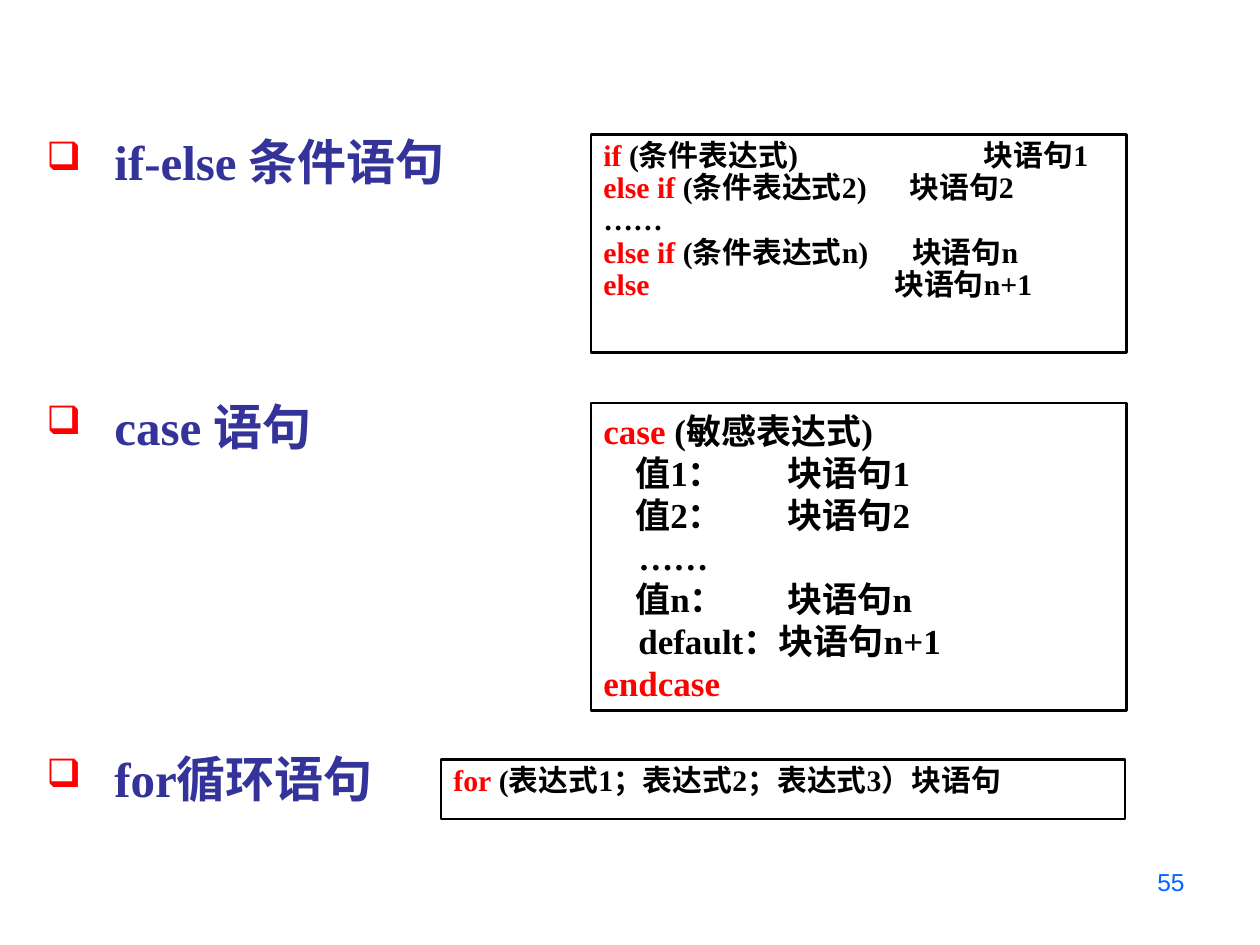
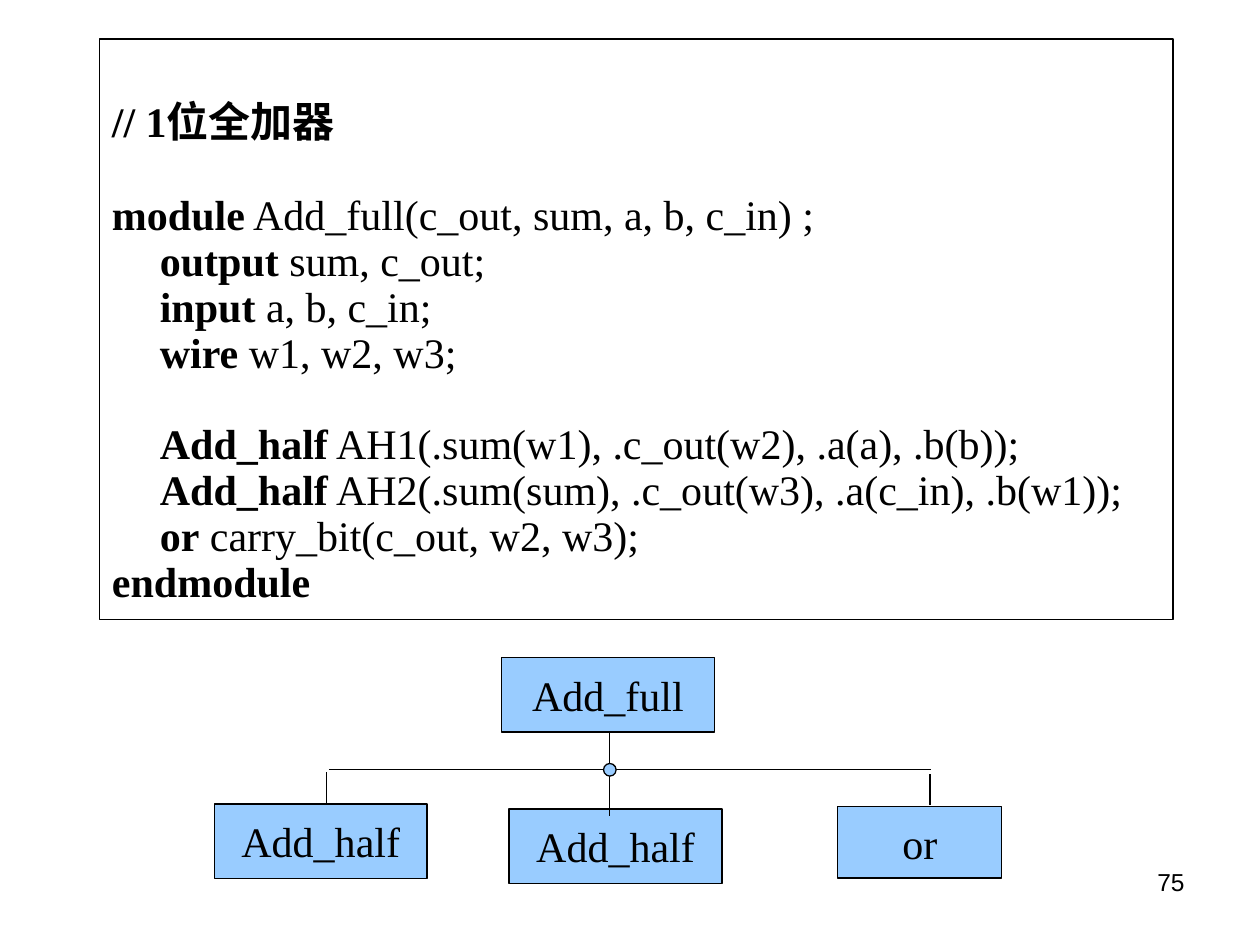
from lxml.etree import SubElement
from pptx import Presentation
from pptx.dml.color import RGBColor
from pptx.enum.shapes import MSO_CONNECTOR, MSO_SHAPE
from pptx.enum.text import MSO_ANCHOR, PP_ALIGN
from pptx.oxml.ns import qn
from pptx.util import Inches, Pt

COLUMNS, ROWS = 100, 75
SERIF, SANS = "Times New Roman", "Arial"
BLACK, RED, NAVY, BLUE, SKY = "000000", "FF0000", "333399", "0066FF", "99CCFF"
TOPIC_PITCH = 50.4  # points per topic line
CODE_GAP = 6
CODE_BLANK = 26.2


def color(value):
    return RGBColor.from_string(value)


class SlideBuilder:
    def __init__(self, deck):
        self.deck = deck
        self.page = None

    def new_page(self, number, number_color):
        self.page = self.deck.slides.add_slide(self.deck.slide_layouts[6])
        box = self.text_box(71.7, 68.3, 23.3, 5.2)
        self.fill_para(box.text_frame.paragraphs[0], [(number, number_color, False)],
                       14, SANS, PP_ALIGN.RIGHT)

    def x(self, columns):
        return round(self.deck.slide_width * columns / COLUMNS)

    def y(self, rows):
        return round(self.deck.slide_height * rows / ROWS)

    def place(self, left, top, width, height):
        return self.x(left), self.y(top), self.x(width), self.y(height)

    def text_box(self, *area):
        box = self.page.shapes.add_textbox(*self.place(*area))
        box.text_frame.word_wrap = True
        return box

    def shape(self, area, line_width, fill=None, kind=MSO_SHAPE.RECTANGLE):
        shape = self.page.shapes.add_shape(kind, *self.place(*area))
        shape.shadow.inherit = False
        if fill:
            shape.fill.solid()
            shape.fill.fore_color.rgb = color(fill)
        else:
            shape.fill.background()
        shape.line.color.rgb = color(BLACK)
        shape.line.width = Pt(line_width)
        shape.text_frame.word_wrap = True
        shape.text_frame.vertical_anchor = MSO_ANCHOR.TOP
        return shape

    def fill_para(self, para, spans, size, font=SERIF, align=PP_ALIGN.LEFT, tab=None):
        """Fill a paragraph with (text, colour, bold) spans."""
        para.alignment = align
        if tab:
            tabs = SubElement(para._p.get_or_add_pPr(), qn("a:tabLst"))
            SubElement(tabs, qn("a:tab"), pos=str(Inches(tab)), algn="l")
        para.font.size = Pt(size)
        para.font.name = font
        for text, ink, bold in spans:
            span = para.add_run()
            span.text = text
            span.font.bold = bold
            span.font.color.rgb = color(ink)

    def paragraphs(self, box, count):
        frame = box.text_frame
        return [frame.paragraphs[0]] + [frame.add_paragraph() for _ in range(count - 1)]

    def topics(self, area, items):
        """Set bulleted (text, blank lines above) items."""
        box = self.text_box(*area)
        for para, (text, blanks) in zip(self.paragraphs(box, len(items)), items):
            para.line_spacing = 1.5
            if blanks:
                para.space_before = Pt(blanks * TOPIC_PITCH)
            layout = para._p.get_or_add_pPr()
            layout.set("marL", str(Inches(0.54)))
            layout.set("indent", str(-Inches(0.54)))
            ink = SubElement(layout, qn("a:buClr"))
            SubElement(ink, qn("a:srgbClr"), val=RED)
            SubElement(layout, qn("a:buSzPct"), val="80000")
            SubElement(layout, qn("a:buChar"), char="❑")
            self.fill_para(para, [(text, NAVY, True)], 28, align=PP_ALIGN.JUSTIFY)

    def syntax(self, area, size, spacing, lines):
        """Frame (keyword, rest, tab stop) lines with red keywords."""
        box = self.shape(area, 1.5)
        for para, (keyword, rest, tab) in zip(self.paragraphs(box, len(lines)), lines):
            para.line_spacing = spacing
            spans = [(keyword, RED, True), (rest, BLACK, True)]
            self.fill_para(para, [span for span in spans if span[0]], size, tab=tab)

    def listing(self, area, lines):
        """Frame (keyword, rest, blank lines above) lines with bold keywords."""
        box = self.shape(area, 0.75)
        box.text_frame.margin_top = Inches(0.45)
        paras = self.paragraphs(box, len(lines))
        for para, (keyword, rest, blanks) in zip(paras, lines):
            if para is not paras[0]:
                para.line_spacing = 0.7
                para.space_before = Pt(CODE_GAP + blanks * CODE_BLANK)
            spans = [(keyword, BLACK, True), (rest, BLACK, False)]
            self.fill_para(para, [span for span in spans if span[0]], 24, tab=0.38)

    def node(self, label, *area):
        box = self.shape(area, 0.75, SKY)
        box.text_frame.vertical_anchor = MSO_ANCHOR.MIDDLE
        self.fill_para(box.text_frame.paragraphs[0], [(label, BLACK, False)], 24,
                       align=PP_ALIGN.CENTER)

    def line(self, left, top, right, bottom):
        line = self.page.shapes.add_connector(
            MSO_CONNECTOR.STRAIGHT, self.x(left), self.y(top), self.x(right), self.y(bottom))
        line.line.color.rgb = color(BLACK)
        line.line.width = Pt(0.75)
        SubElement(line._element.spPr, qn("a:effectLst"))


def statements_page(builder):
    builder.new_page("55", BLUE)
    builder.topics((2.7, 7.6, 95.3, 59.1),
                   [("if-else 条件语句", 0), ("case 语句", 2), ("for循环语句", 3)])
    builder.syntax((46.9, 10.7, 42.5, 17.3), 17, 0.9, [
        ("if ", "(条件表达式)\t块语句1", 3.02),
        ("else if", " (条件表达式2)\t块语句2", 2.43),
        ("", "……", None),
        ("else if", " (条件表达式n)\t块语句n", 2.45),
        ("else", "\t块语句n+1", 2.31),
    ])
    cases = [("", f"    值{n}：\t块语句{n}", 1.46) for n in "12n"]
    builder.syntax((46.9, 32, 42.5, 24.4), 20, 1.0, [
        ("case", " (敏感表达式)", None),
        *cases[:2],
        ("", "    ……", None),
        cases[2],
        ("", "    default：块语句n+1", None),
        ("endcase", "", None),
    ])
    builder.syntax((35, 60.3, 54.3, 4.7), 17, 0.9,
                   [("for", " (表达式1；表达式2；表达式3）块语句", None)])


def full_adder_page(builder):
    builder.new_page("75", BLACK)
    builder.node("Add_full", 39.8, 52.2, 16.9, 5.9)
    builder.node("Add_half", 40.4, 64.2, 16.9, 5.9)
    builder.node("or", 66.5, 64, 13, 5.7)
    builder.node("Add_half", 17, 63.8, 16.9, 5.9)
    trunk, rail = 48.4, 61.1
    builder.line(trunk, 58.1, trunk, 64.8)
    builder.line(25.9, 63.8, 25.9, 61.3)
    builder.line(73.8, 63.9, 73.8, 61.4)
    builder.line(26.1, rail, 73.9, rail)
    builder.shape((trunk - 0.5, rail - 0.5, 1, 1), 0.75, SKY, MSO_SHAPE.OVAL)
    builder.listing((7.9, 3.1, 85.2, 46.1), [
        ("// 1位全加器", "", 0),
        ("module", " Add_full(c_out, sum, a, b, c_in) ;", 1),
        ("\toutput", " sum, c_out;", 0),
        ("\tinput", " a, b, c_in;", 0),
        ("\twire", " w1, w2, w3;", 0),
        ("\tAdd_half", " AH1(.sum(w1), .c_out(w2), .a(a), .b(b));", 1),
        ("\tAdd_half", " AH2(.sum(sum), .c_out(w3), .a(c_in), .b(w1));", 0),
        ("\tor", " carry_bit(c_out, w2, w3);", 0),
        ("endmodule", "", 0),
    ])


def main():
    deck = Presentation()
    deck.slide_width, deck.slide_height = Inches(10), Inches(7.5)
    builder = SlideBuilder(deck)
    statements_page(builder)
    full_adder_page(builder)
    deck.save("out.pptx")


if __name__ == "__main__":
    main()
